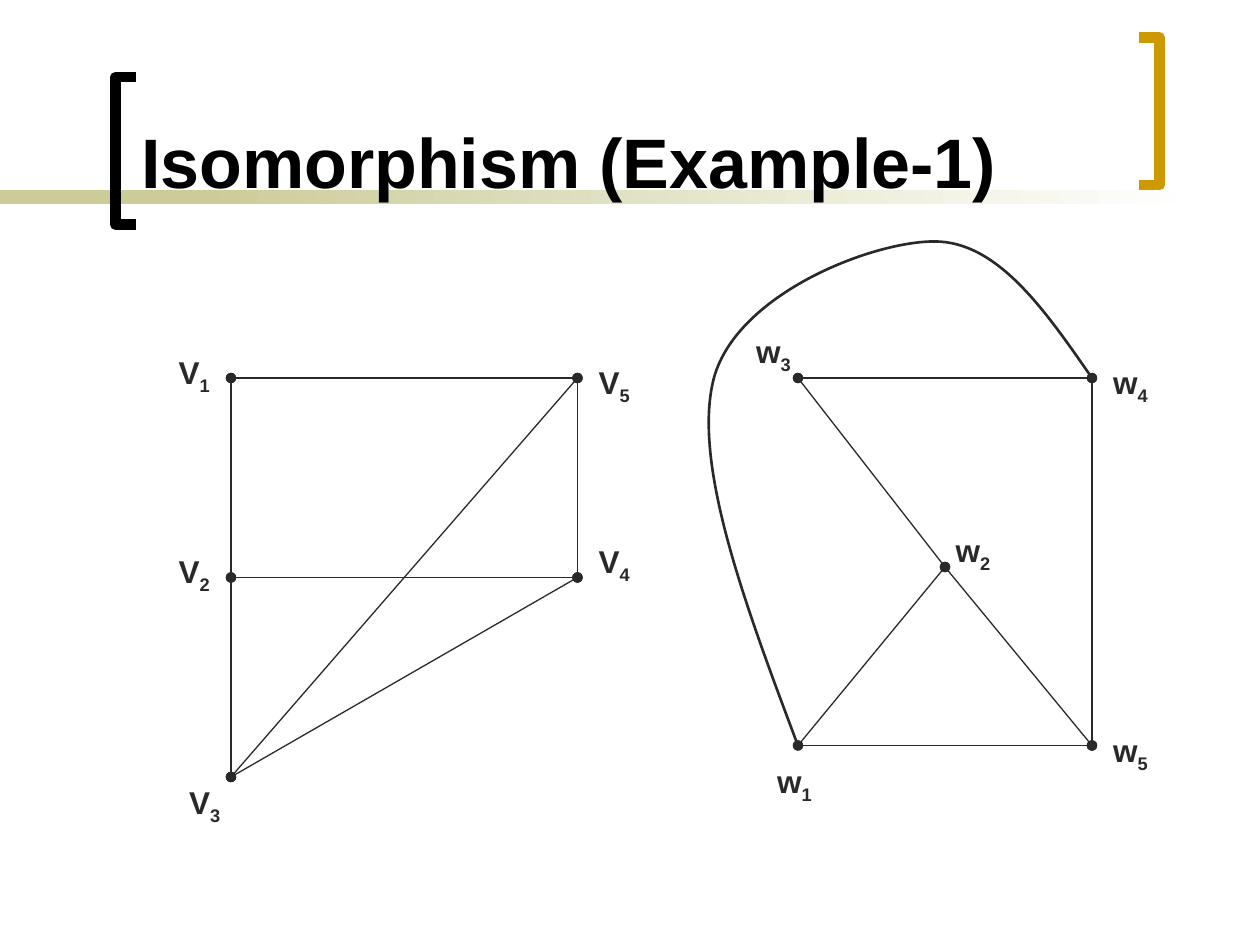
from lxml.etree import SubElement
from pptx import Presentation
from pptx.dml.color import RGBColor
from pptx.enum.shapes import MSO_CONNECTOR, MSO_SHAPE
from pptx.enum.text import MSO_ANCHOR, MSO_AUTO_SIZE, PP_ALIGN
from pptx.oxml.ns import qn
from pptx.util import Pt

BLACK = RGBColor(0x00, 0x00, 0x00)
WHITE = RGBColor(0xFF, 0xFF, 0xFF)
GOLD = RGBColor(0xCC, 0x99, 0x00)
SAND = RGBColor(0xCC, 0xCC, 0x99)
INK = RGBColor(0x29, 0x29, 0x29)

presentation = Presentation()
presentation.slide_width, presentation.slide_height = Pt(720), Pt(540)
slide = presentation.slides.add_slide(presentation.slide_layouts[5])


def add_outline(points, color, width):
    points = [(Pt(x), Pt(y)) for x, y in points]
    builder = slide.shapes.build_freeform(*points[0])
    builder.add_line_segments(points[1:], close=False)
    shape = builder.convert_to_shape()
    shape.shadow.inherit = False
    shape.fill.background()
    shape.line.color.rgb = color
    shape.line.width = Pt(width)
    return shape


def add_run(paragraph, text, size, color):
    run = paragraph.add_run()
    run.text = text
    run.font.name = "Arial"
    run.font.size = Pt(size)
    run.font.bold = True
    run.font.color.rgb = color
    return run


for left, width in ((0, 168), (114, 570)):
    bar = slide.shapes.add_shape(MSO_SHAPE.RECTANGLE, Pt(left), Pt(108.6), Pt(width), Pt(7.9))
    bar.shadow.inherit = False
    bar.line.fill.background()
    if left == 0:
        bar.fill.solid()
        bar.fill.fore_color.rgb = SAND
    else:
        bar.fill.gradient()
        bar.fill.gradient_angle = 0
        for stop, color in zip(bar.fill.gradient_stops, (SAND, WHITE)):
            stop.color.rgb = color

for open_x, spine_x, top, color in ((78, 66, 44, BLACK), (651, 662.6, 21.4, GOLD)):
    bottom = top + 84.4
    corners = [(open_x, top), (spine_x, top), (spine_x, bottom), (open_x, bottom)]
    bracket = add_outline(corners, color, 6)

title = slide.shapes.title
bracket.element.addnext(title.element)
title.left, title.top, title.width, title.height = Pt(73.5), Pt(8), Pt(564), Pt(111.5)
title.text_frame.vertical_anchor = MSO_ANCHOR.BOTTOM
title.text_frame.auto_size = MSO_AUTO_SIZE.NONE
title.text_frame.word_wrap = True
paragraph = title.text_frame.paragraphs[0]
paragraph.alignment = PP_ALIGN.LEFT
add_run(paragraph, "Isomorphism (Example-1)", 40, BLACK)

vertices = {
    "V1": (132, 216), "V2": (132, 330), "V3": (132, 444), "V4": (330, 330), "V5": (330, 216),
    "w1": (456, 426), "w2": (540, 324), "w3": (456, 216), "w4": (624, 216), "w5": (624, 426),
}
edges = (
    "V1 V5", "V1 V2", "V2 V4", "V4 V5", "V2 V3", "V3 V4", "V3 V5",
    "w3 w4", "w2 w1", "w2 w5", "w4 w5", "w3 w2", "w1 w5",
)
for edge in edges:
    start, end = edge.split()
    ends = [Pt(value) for value in vertices[start] + vertices[end]]
    connector = slide.shapes.add_connector(MSO_CONNECTOR.STRAIGHT, *ends)
    connector.line.color.rgb = INK
    connector.line.width = Pt(0.75)
    for tag in ("a:headEnd", "a:tailEnd"):
        SubElement(connector.line._get_or_add_ln(), qn(tag), type="oval")
    SubElement(connector.element.spPr, qn("a:effectLst"))

label_corners = {
    "V3": (66, 444), "V2": (60, 312), "V1": (60, 198), "V4": (300, 306), "V5": (300, 204),
    "w1": (402, 432), "w4": (594, 204), "w5": (594, 414), "w2": (504, 300), "w3": (390, 186),
}
for name, (left, top) in label_corners.items():
    label = slide.shapes.add_textbox(Pt(left), Pt(top), Pt(72), Pt(31.7))
    label.text_frame.word_wrap = True
    label.text_frame.auto_size = MSO_AUTO_SIZE.SHAPE_TO_FIT_TEXT
    paragraph = label.text_frame.paragraphs[0]
    properties = paragraph._p.get_or_add_pPr()
    properties.set("marL", str(Pt(70)))
    properties.set("indent", str(Pt(-35)))
    add_run(paragraph, name[0], 18, INK)
    subscript = add_run(paragraph, name[1], 18, INK)
    subscript._r.get_or_add_rPr().set("baseline", "-25000")

curve_points = [
    vertices["w1"], (425.5, 345), (395.3, 264), (408, 216), (421.2, 168),
    (498, 138), (534, 138), (570, 138), (597, 177), vertices["w4"],
]
curve = add_outline(curve_points, INK, 1.5)
outline = next(curve.element.iter(qn("a:path")))
segments = outline.findall(qn("a:lnTo"))
for index in range(0, len(segments), 3):
    bezier = SubElement(outline, qn("a:cubicBezTo"))
    for segment in segments[index:index + 3]:
        bezier.append(segment[0])
        outline.remove(segment)

presentation.save("out.pptx")
